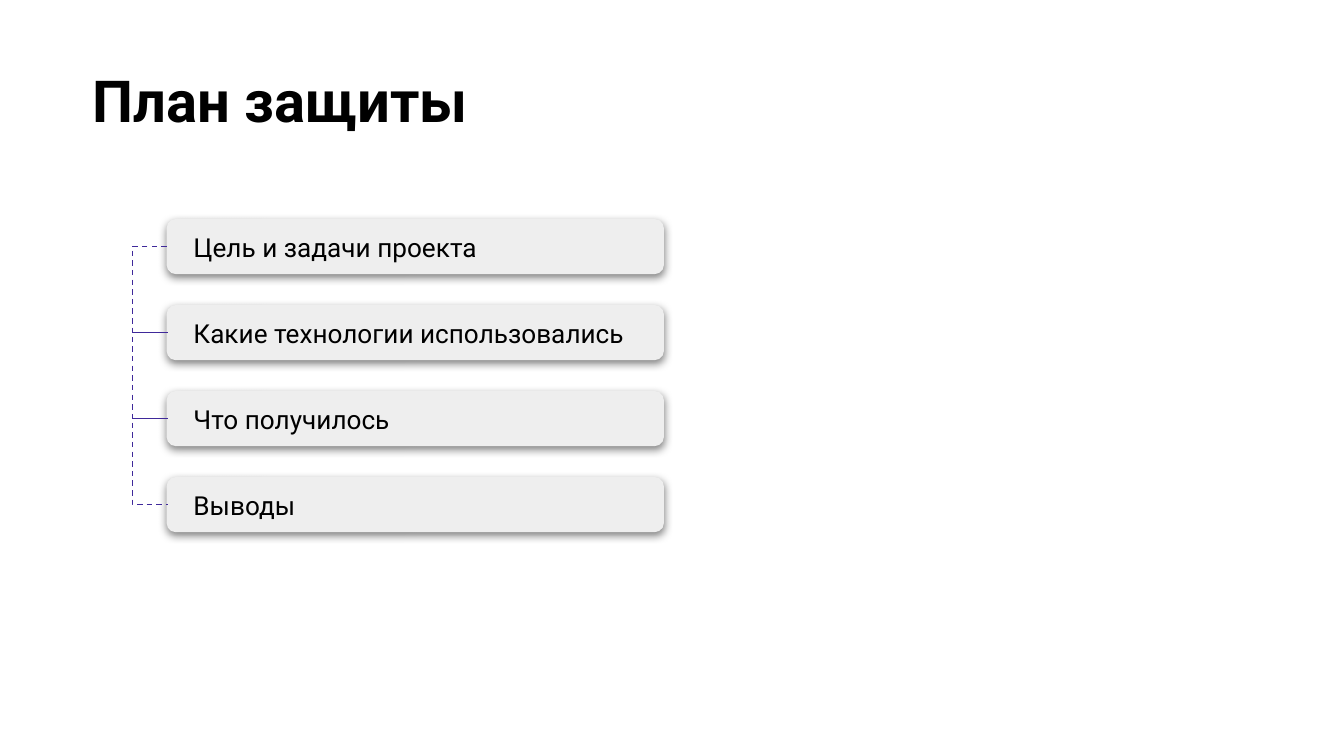
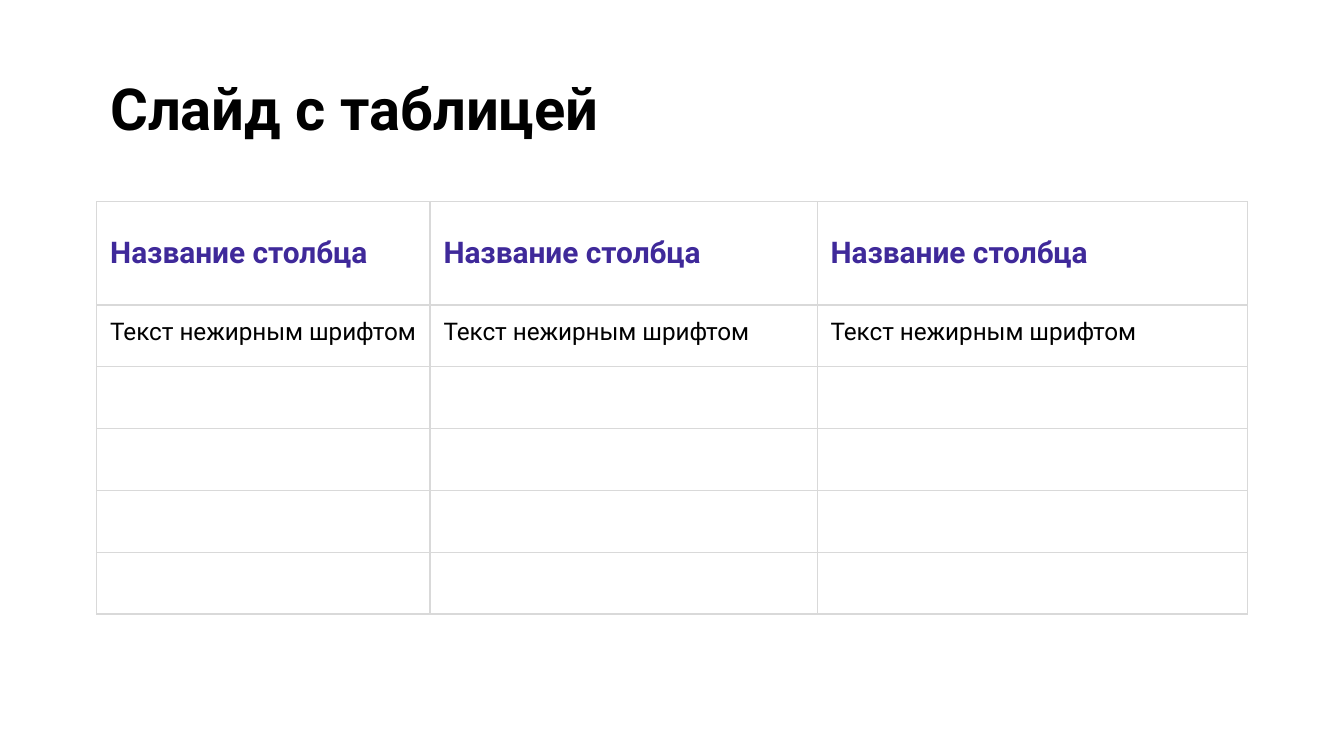
"""Build a defence plan slide and a table slide in one shared style."""
from itertools import pairwise

from lxml.etree import SubElement
from pptx import Presentation
from pptx.dml.color import RGBColor
from pptx.enum.dml import MSO_LINE
from pptx.enum.shapes import MSO_CONNECTOR, MSO_SHAPE
from pptx.enum.text import MSO_ANCHOR, MSO_AUTO_SIZE, PP_ALIGN
from pptx.oxml.ns import qn
from pptx.util import Inches, Pt

COLORS = {"text": "000000", "accent": "3F299A", "card": "EEEEEE",
          "border": "D9D9D9", "white": "FFFFFF"}
FONT = "Roboto"
TITLE_ONLY = 5


def rgb(name):
    return RGBColor.from_string(COLORS[name])


def write(tf, text, size=14, color="text", bold=False, anchor=MSO_ANCHOR.TOP, side=0.1):
    tf.word_wrap = True
    tf.auto_size = MSO_AUTO_SIZE.NONE
    tf.vertical_anchor = anchor
    tf.margin_left = tf.margin_right = Inches(side)
    tf.margin_top = tf.margin_bottom = Inches(0.1)
    write_line(tf.paragraphs[0], text, size, color, bold)


def write_line(p, text, size, color="text", bold=False):
    p.alignment = PP_ALIGN.LEFT
    if not text:
        SubElement(p._p, qn("a:endParaRPr"), sz=str(size * 100))
        return
    r = p.add_run()
    r.text = text
    r.font.name, r.font.size, r.font.bold = FONT, Pt(size), bold
    r.font.color.rgb = rgb(color)


class Deck:
    def __init__(self):
        self.prs = Presentation()
        self.prs.slide_width = Inches(10)
        self.prs.slide_height = Inches(10 * 9 / 16)
        self.s = None

    def slide(self, title, left, top, height):
        self.s = self.prs.slides.add_slide(self.prs.slide_layouts[TITLE_ONLY])
        sp = self.s.shapes.title
        sp.left, sp.top = Inches(left), Inches(top)
        sp.width, sp.height = Inches(9.32), Inches(height)
        write(sp.text_frame, title, size=31, bold=True)

    def card(self, text, left, top, width, height):
        sp = self.s.shapes.add_shape(MSO_SHAPE.ROUNDED_RECTANGLE, Inches(left),
                                     Inches(top), Inches(width), Inches(height))
        sp.fill.solid()
        sp.fill.fore_color.rgb = rgb("card")
        sp.line.fill.background()
        sp.shadow.inherit = False
        effects = sp._element.spPr.find(qn("a:effectLst"))
        shadow = SubElement(effects, qn("a:outerShdw"), blurRad=str(Pt(4.5)),
                            dist=str(Pt(1.5)), dir="5400000", algn="bl", rotWithShape="0")
        color = SubElement(shadow, qn("a:srgbClr"), val=COLORS["text"])
        SubElement(color, qn("a:alpha"), val="50000")
        write(sp.text_frame, text, anchor=MSO_ANCHOR.MIDDLE, side=0.18)
        return sp

    def bracket(self, upper, lower, reach=0.26):
        start, end = (sp.top + sp.height // 2 for sp in (upper, lower))
        c = self.s.shapes.add_connector(MSO_CONNECTOR.ELBOW, upper.left, start,
                                        lower.left, end)
        c.begin_connect(upper, 1)
        c.end_connect(lower, 1)
        c.width = Inches(0.01)
        spPr = c._element.spPr
        guides = spPr.find(qn("a:prstGeom")).get_or_add_avLst()
        ratio = round(-reach / 0.01 * 100000)
        SubElement(guides, qn("a:gd"), name="adj1", fmla=f"val {ratio}")
        c.line.color.rgb = rgb("accent")
        c.line.width = Pt(0.75)
        c.line.dash_style = MSO_LINE.DASH
        SubElement(spPr, qn("a:effectLst"))

    def table(self, rows, left, top, widths, heights):
        frame = self.s.shapes.add_table(len(rows), len(widths), Inches(left), Inches(top),
                                        Inches(sum(widths)), Inches(sum(heights)))
        tbl = frame.table
        tbl.first_row = tbl.horz_banding = False
        for col, width in zip(tbl.columns, widths):
            col.width = Inches(width)
        for i, (row, height) in enumerate(zip(tbl.rows, heights)):
            row.height = Inches(height)
            for cell, text in zip(row.cells, rows[i]):
                self.cell(cell, text, header=i == 0)

    def cell(self, cell, text, header):
        cell.margin_left = cell.margin_right = Inches(0.1)
        cell.margin_top = cell.margin_bottom = Inches(0.1)
        tcPr = cell._tc.get_or_add_tcPr()
        for side in ("lnL", "lnR", "lnT", "lnB"):
            ln = SubElement(tcPr, qn(f"a:{side}"), w=str(Pt(0.75)))
            fill = SubElement(ln, qn("a:solidFill"))
            SubElement(fill, qn("a:srgbClr"), val=COLORS["border"])
        p = cell.text_frame.paragraphs[0]
        if header:
            cell.vertical_anchor = MSO_ANCHOR.MIDDLE
            cell.fill.solid()
            cell.fill.fore_color.rgb = rgb("white")
            write_line(p, text, 16, "accent", True)
        else:
            cell.fill.background()
            write_line(p, text, 13)


def main():
    deck = Deck()

    deck.slide("План защиты", 0.59, 0.38, 0.72)
    topics = ["Цель и задачи проекта", "Какие технологии использовались",
              "Что получилось", "Выводы"]
    cards = [deck.card(topic, 1.24, 1.63 + 0.64 * i, 3.7, 0.41)
             for i, topic in enumerate(topics)]
    for upper, lower in pairwise(cards):
        deck.bracket(upper, lower)

    deck.slide("Слайд с таблицей", 0.72, 0.44, 1.2)
    rows = [["Название столбца"] * 3, ["Текст нежирным шрифтом"] * 3] + [[""] * 3] * 4
    deck.table(rows, 0.72, 1.5, [2.48, 2.88, 3.2], [0.77] + [0.46] * 5)

    deck.prs.save("out.pptx")


if __name__ == "__main__":
    main()
